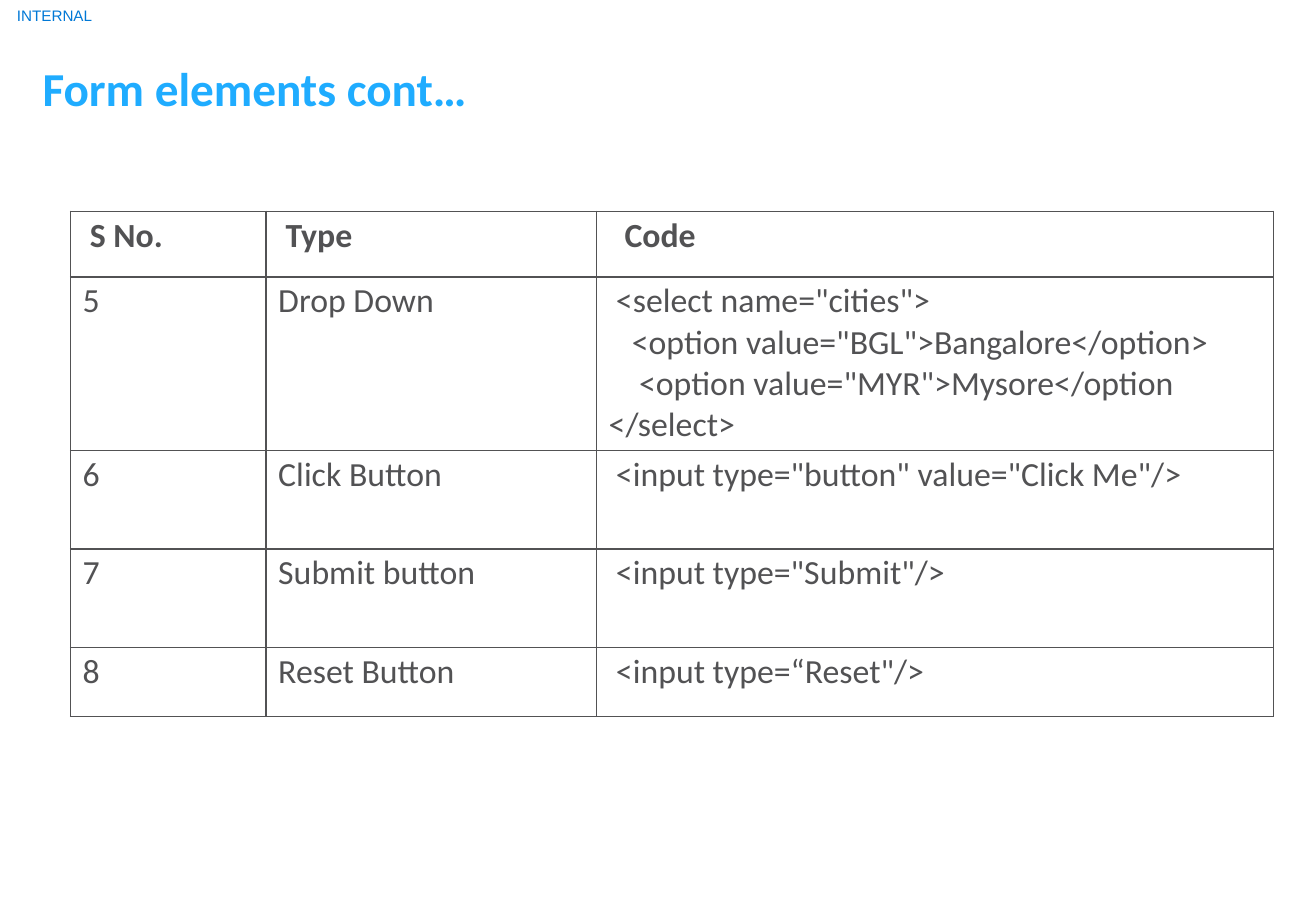
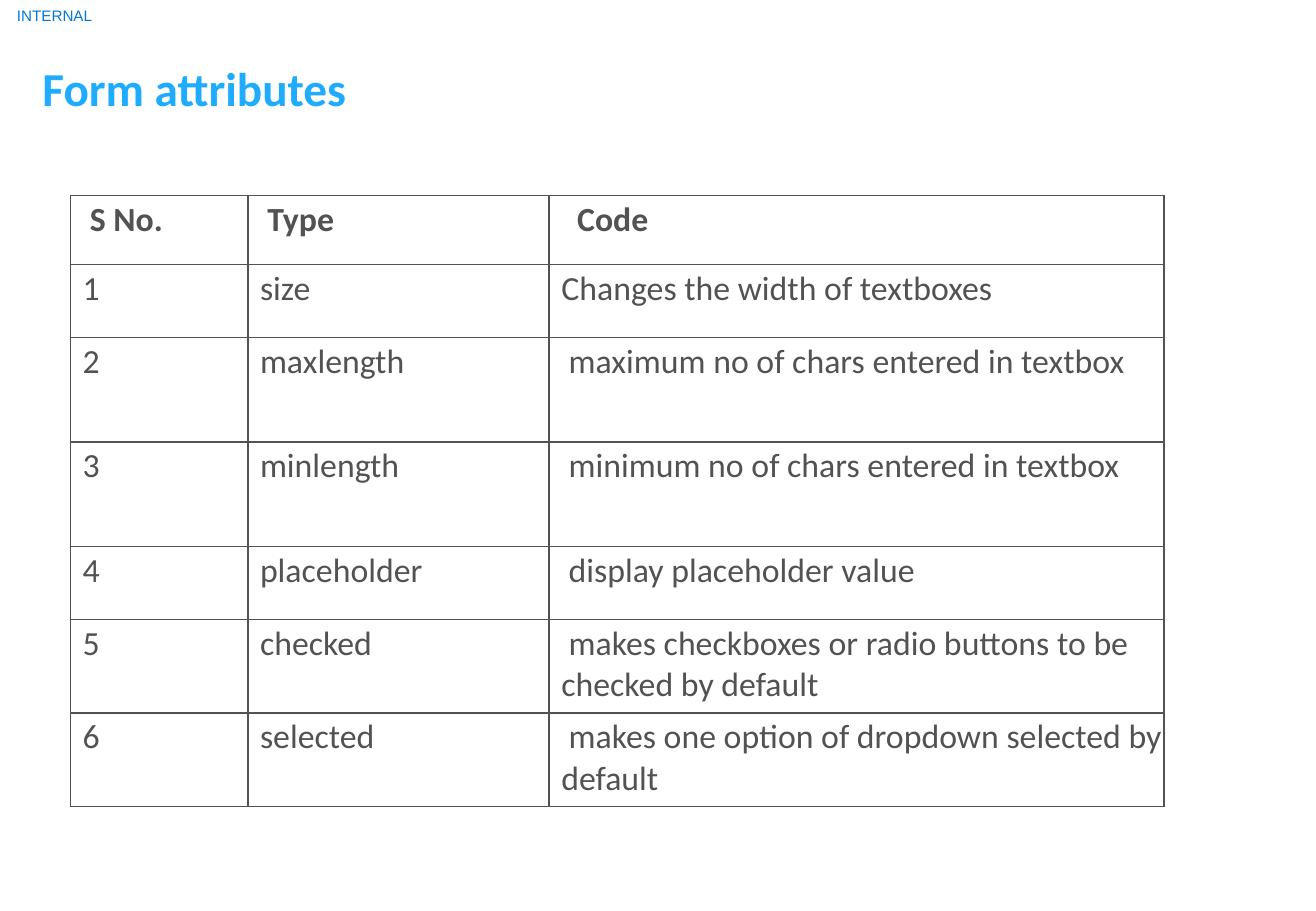
"""Build two slides that list HTML form elements and form attributes."""
from dataclasses import dataclass

from lxml import etree
from pptx import Presentation
from pptx import util as u
from pptx.dml import color
from pptx.oxml import ns

PX = 9144


@dataclass(frozen=True)
class Theme:
    label_color: str = "0078D6"
    title_color: str = "1FACFF"
    ink: str = "525254"
    label_font: str = "Arial"
    body_font: str = "Calibri"
    label_size: int = 9
    title_size: int = 28
    body_size: int = 20
    border: int = 1
    inset: int = 3
    cell_indent: int = 10
    header_offsets: tuple = (6, 6, 13)
    code_offset: int = 6


THEME = Theme()
HEADER = ("S No.", "Type", "Code")

ELEMENTS = [
    ("5", "Drop Down", [
        (6, '<select name="cities">'),
        (19, '<option value="BGL">Bangalore</option>'),
        (25, '<option value="MYR">Mysore</option'),
        (0, "</select>"),
    ]),
    ("6", "Click Button", '<input type="button" value="Click Me"/>'),
    ("7", "Submit button", '<input type="Submit"/>'),
    ("8", "Reset Button", '<input type=“Reset"/>'),
]

ATTRIBUTES = [
    ("1", "size", [(0, "Changes the width of textboxes")]),
    ("2", "maxlength", "maximum no of chars entered in textbox"),
    ("3", "minlength", "minimum no of chars entered in textbox"),
    ("4", "placeholder", "display placeholder value"),
    ("5", "checked", "makes checkboxes or radio buttons to be checked by default"),
    ("6", "selected", "makes one option of dropdown selected by default"),
]


def px(length):
    """Turn whole px into EMU."""
    return u.Emu(length * PX)


def write(paragraph, text, *, size=THEME.body_size, font=THEME.body_font,
          ink=THEME.ink, bold=False, before=0, left=0, first=0):
    """Write one formatted line into a paragraph."""
    paragraph.space_before = u.Pt(before)
    properties = paragraph._p.get_or_add_pPr()
    properties.set("marL", str(px(left)))
    properties.set("indent", str(px(first)))
    run = paragraph.add_run()
    run.text = text
    run.font.size = u.Pt(size)
    run.font.name = font
    run.font.bold = bold
    run.font.color.rgb = color.RGBColor.from_string(ink)


def add_text(slide, box, text, **style):
    """Place one line of text in a box without side insets."""
    frame = slide.shapes.add_textbox(*map(px, box)).text_frame
    frame.word_wrap = True
    frame.margin_left = frame.margin_right = frame.margin_bottom = 0
    frame.margin_top = px(1)
    write(frame.paragraphs[0], text, left=1, **style)


def add_borders(cell):
    """Draw a thin line on each side of a cell."""
    properties = cell._tc.get_or_add_tcPr()
    for side in ("a:lnL", "a:lnR", "a:lnT", "a:lnB"):
        line = etree.SubElement(properties, ns.qn(side), w=str(u.Pt(THEME.border)))
        fill = etree.SubElement(line, ns.qn("a:solidFill"))
        etree.SubElement(fill, ns.qn("a:srgbClr"), val=THEME.ink)


def fill_cell(cell, lines, bold):
    """Fill a cell with (first-line offset, text) lines."""
    add_borders(cell)
    cell.fill.background()
    cell.margin_left = cell.margin_right = cell.margin_bottom = 0
    cell.margin_top = px(THEME.inset)
    frame = cell.text_frame
    for number, (offset, text) in enumerate(lines):
        paragraph = frame.add_paragraph() if number else frame.paragraphs[0]
        write(paragraph, text, bold=bold, before=0 if number else 2.4,
              left=THEME.cell_indent, first=offset)


def add_grid(slide, left, top, widths, heights, entries):
    """Place a bordered table with the shared header row."""
    table = slide.shapes.add_table(
        len(heights), len(widths), px(left), px(top),
        px(sum(widths)), px(sum(heights))).table
    table.first_row = table.horz_banding = False
    for column, width in zip(table.columns, widths):
        column.width = px(width)
    for row, height in zip(table.rows, heights):
        row.height = px(height)
    body_offsets = (0, 0, THEME.code_offset)
    for r, values in enumerate([HEADER, *entries]):
        offsets = body_offsets if r else THEME.header_offsets
        for c, (value, offset) in enumerate(zip(values, offsets)):
            lines = [(offset, value)] if isinstance(value, str) else value
            fill_cell(table.cell(r, c), lines, bold=r == 0)


def add_table_slide(deck, title, title_width, top, widths, heights, entries):
    """Build a slide with the label, a title and a table."""
    slide = deck.slides.add_slide(deck.slide_layouts[6])
    add_text(slide, (13, 4, 66, 18), "INTERNAL", size=THEME.label_size,
             font=THEME.label_font, ink=THEME.label_color, before=1)
    add_text(slide, (34, 48, title_width, 49), title, size=THEME.title_size,
             ink=THEME.title_color, bold=True, before=0.9)
    add_grid(slide, 58, top, widths, heights, entries)


def main():
    """Build and save the deck."""
    deck = Presentation()
    deck.slide_width, deck.slide_height = px(1083), px(750)
    add_table_slide(deck, "Form elements cont…", 352, 174, (161, 272, 557),
                    (54, 143, 81, 81, 57), ELEMENTS)
    add_table_slide(deck, "Form attributes", 254, 161, (146, 248, 506),
                    (57, 60, 86, 86, 60, 77, 77), ATTRIBUTES)
    deck.save("out.pptx")


if __name__ == "__main__":
    main()
